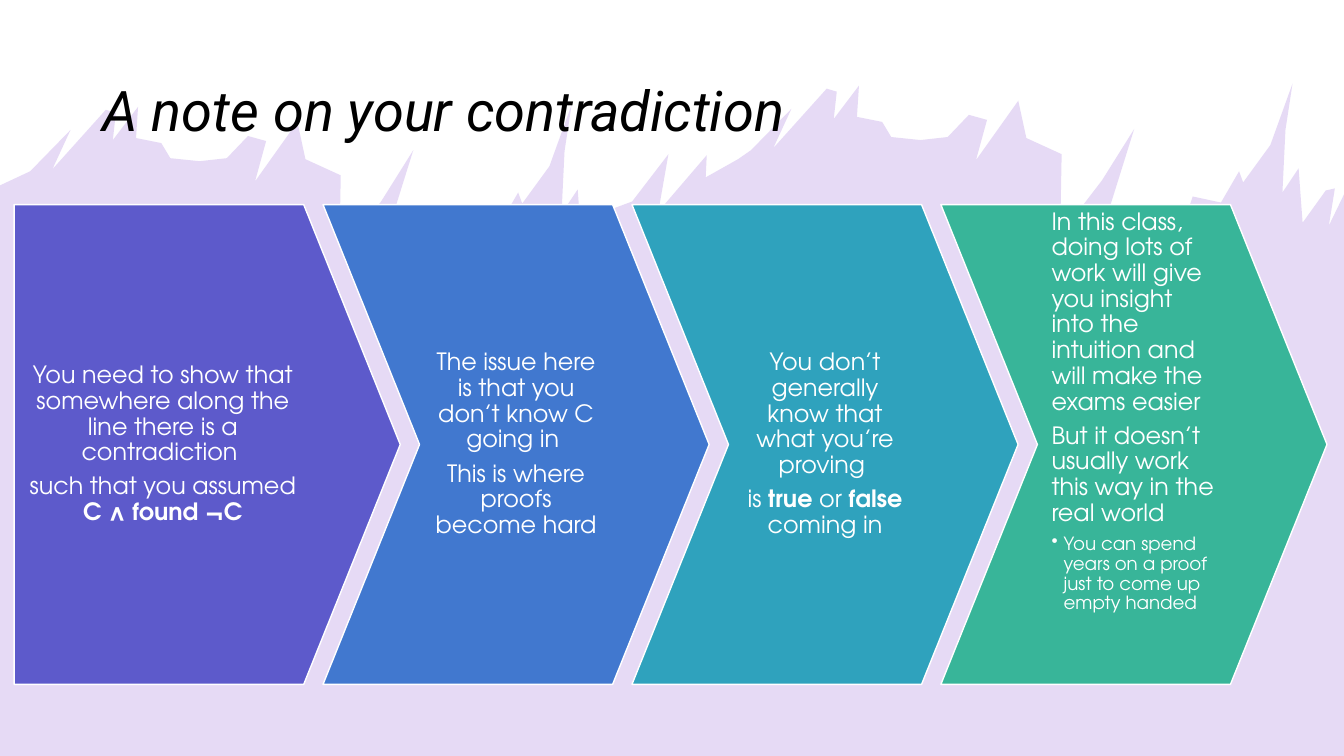
from dataclasses import dataclass

from lxml.etree import SubElement
from pptx import Presentation
from pptx.dml.color import RGBColor
from pptx.enum.shapes import MSO_SHAPE
from pptx.enum.text import MSO_ANCHOR, MSO_AUTO_SIZE, PP_ALIGN
from pptx.oxml.ns import qn
from pptx.util import Inches, Pt

HEADING = "A note on your contradiction"

STEPS = [
    [
        (0, [("You need to show that somewhere along the line there is a contradiction ", False)]),
        (0, [("such that you assumed ", False), ("C ∧ found ¬C", True)]),
    ],
    [
        (0, [("The issue here is that you don’t know C going in ", False)]),
        (0, [("This is where proofs become hard", False)]),
    ],
    [
        (0, [("You don’t generally know that what you’re proving ", False)]),
        (0, [("is ", False), ("true", True), (" or ", False), ("false", True), (" coming in", False)]),
    ],
    [
        (0, [("In this class, doing lots of work will give you insight into the intuition "
              "and will make the exams easier", False)]),
        (0, [("But it doesn’t usually work this way in the real world", False)]),
        (1, [("You can spend years on a proof just to come up empty handed", False)]),
    ],
]

CREST = [
    (0.3, 1.7), (0.7, 1.29), (0.52, 1.68), (1.05, 1.09), (1.15, 1.12), (1.12, 1.39),
    (1.37, 1.06), (1.35, 1.37), (1.6, 1.42), (1.69, 1.57), (1.98, 1.6), (2.25, 1.57),
    (2.46, 1.35), (2.64, 1.4), (2.53, 1.8), (2.95, 1.21), (3.03, 1.58), (3.38, 1.74),
    (3.37, 2.3), (3.55, 2.3), (3.78, 2), (4.1, 1.49), (3.8, 2.45), (4.6, 2.4),
    (4.68, 2.16), (4.96, 2.22), (5.14, 1.91), (5.18, 2.02), (5.45, 1.65), (5.67, 1.04),
    (5.6, 1.5), (5.57, 2.12), (5.73, 1.88), (5.77, 2.42), (6, 2.1),
]
TROUGH = [(6.27, 2), (6.63, 1.53), (6.53, 2.1), (7.01, 1.54), (7, 1.76), (7.32, 1.58)]
SPRAY = [(13.24, 1.87), (13.18, 2.24), (13.33, 1.93)]
CREST_SHIFT = (7.15, -0.21)


@dataclass(frozen=True)
class Theme:
    heading_font: str = "Roboto"
    step_font: str = "TeX Gyre Adventor"
    heading_size: int = 40
    step_sizes: tuple = (17, 13)
    step_fills: tuple = ("5D5ACB", "4178CF", "2FA2BD", "38B599")
    ink: str = "000000"
    light: str = "FFFFFF"
    wave: str = "8447D1"
    wave_opacity: int = 20


THEME = Theme()
WIDTH, HEIGHT = 13.33, 7.5
STEP_LEFT, STEP_TOP, STEP_WIDTH, STEP_HEIGHT = 0.14, 2.03, 3.83, 4.76
STEP_PITCH = 0.8 * STEP_WIDTH
POINT_DEPTH = 0.25


def color(code):
    return RGBColor.from_string(code)


def add_wave(slide):
    right, up = CREST_SHIFT
    second_crest = [(x + right, y + up) for x, y in CREST]
    outline = [(0, 1.84), *CREST, *TROUGH, *second_crest, *SPRAY, (WIDTH, HEIGHT)]
    builder = slide.shapes.build_freeform(0, Inches(HEIGHT))
    builder.add_line_segments([(Inches(x), Inches(y)) for x, y in outline], close=True)
    wave = builder.convert_to_shape()
    wave.shadow.inherit = False
    wave.line.fill.background()
    wave.fill.solid()
    wave.fill.fore_color.rgb = color(THEME.wave)
    tint = wave.element.spPr.find(qn("a:solidFill")).find(qn("a:srgbClr"))
    SubElement(tint, qn("a:alpha"), val=str(THEME.wave_opacity * 1000))
    slide.shapes.title.element.addprevious(wave.element)


def add_run(paragraph, wording, font, size, ink, bold=False, italic=False):
    run = paragraph.add_run()
    run.text = wording
    run.font.name, run.font.size = font, Pt(size)
    run.font.bold, run.font.italic = bold, italic
    run.font.color.rgb = color(ink)


def add_heading(slide):
    heading = slide.shapes.title
    heading.left, heading.top = Inches(0.92), Inches(0.4)
    heading.width, heading.height = Inches(11.5), Inches(1.45)
    frame = heading.text_frame
    frame.auto_size, frame.vertical_anchor = MSO_AUTO_SIZE.NONE, MSO_ANCHOR.MIDDLE
    line = frame.paragraphs[0]
    line.alignment, line.line_spacing = PP_ALIGN.LEFT, 0.9
    add_run(line, HEADING, THEME.heading_font, THEME.heading_size, THEME.ink, italic=True)


def add_step(slide, index, paragraphs):
    outline = MSO_SHAPE.CHEVRON if index else MSO_SHAPE.PENTAGON
    step = slide.shapes.add_shape(
        outline, Inches(STEP_LEFT + index * STEP_PITCH), Inches(STEP_TOP),
        Inches(STEP_WIDTH), Inches(STEP_HEIGHT),
    )
    step.adjustments[0] = POINT_DEPTH
    step.shadow.inherit = False
    step.fill.solid()
    step.fill.fore_color.rgb = color(THEME.step_fills[index])
    step.line.color.rgb, step.line.width = color(THEME.light), Pt(1)
    has_list = any(level for level, _ in paragraphs)
    frame = step.text_frame
    frame.word_wrap = True
    frame.vertical_anchor = MSO_ANCHOR.TOP if has_list else MSO_ANCHOR.MIDDLE
    frame.margin_left, frame.margin_right = Inches(0.14), Inches(0.14 if index else 0.54)
    frame.margin_top = frame.margin_bottom = Inches(0.05)
    for number, (level, runs) in enumerate(paragraphs):
        paragraph = frame.add_paragraph() if number else frame.paragraphs[0]
        if level:
            properties = paragraph._p.get_or_add_pPr()
            properties.set("marL", str(Inches(0.12)))
            properties.set("indent", str(-Inches(0.12)))
            SubElement(properties, qn("a:buChar"), char="•")
        paragraph.level = level
        paragraph.alignment = PP_ALIGN.LEFT if has_list else PP_ALIGN.CENTER
        paragraph.line_spacing = 0.9
        paragraph.space_after = Pt(2 if level else 6)
        for wording, bold in runs:
            add_run(paragraph, wording, THEME.step_font, THEME.step_sizes[level], THEME.light, bold)


def main():
    deck = Presentation()
    deck.slide_width, deck.slide_height = Inches(WIDTH), Inches(HEIGHT)
    slide = deck.slides.add_slide(deck.slide_layouts[5])
    add_wave(slide)
    add_heading(slide)
    for index, paragraphs in enumerate(STEPS):
        add_step(slide, index, paragraphs)
    deck.save("out.pptx")


if __name__ == "__main__":
    main()
